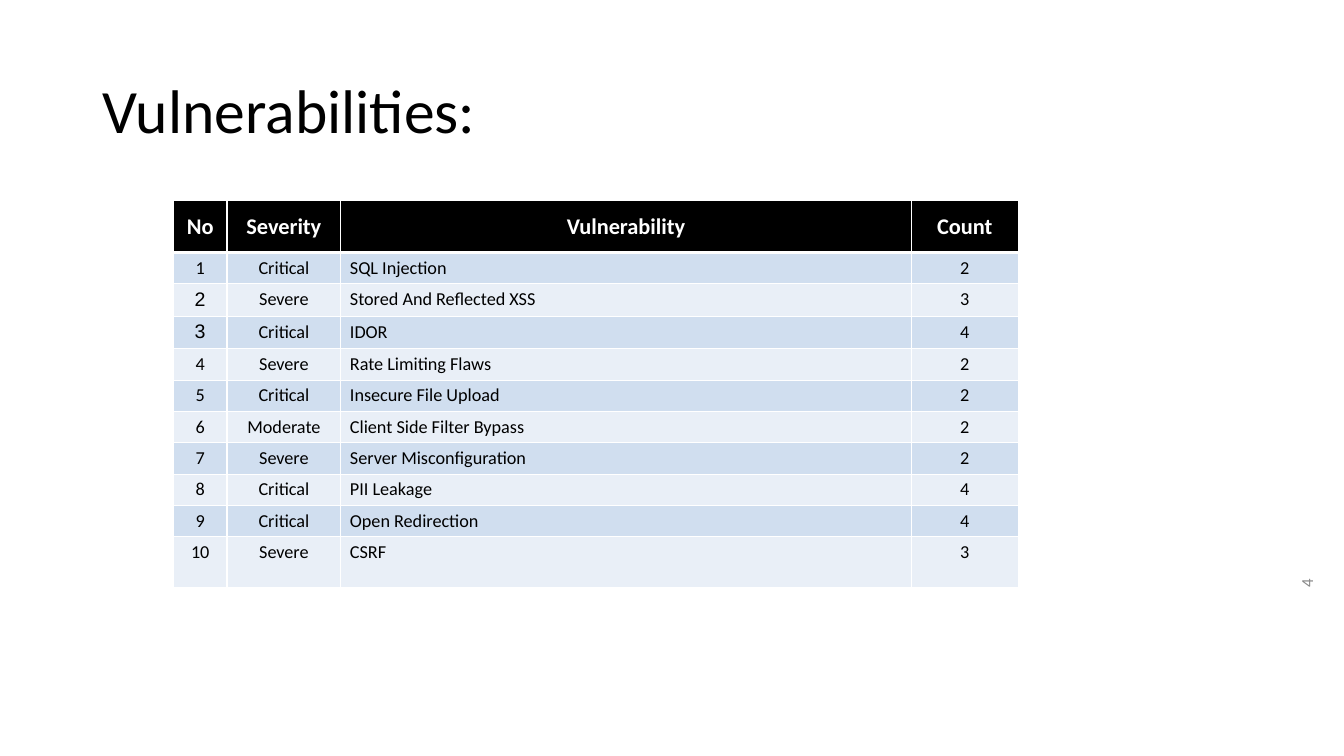
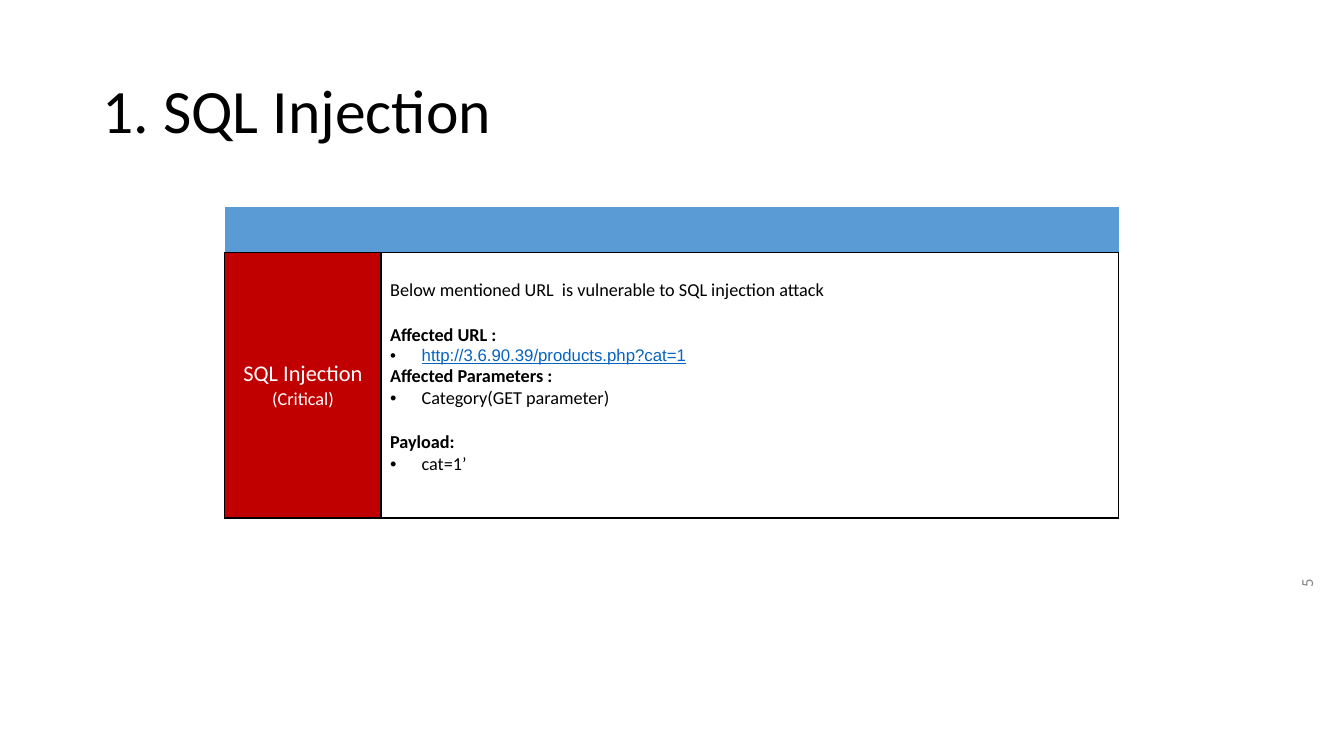
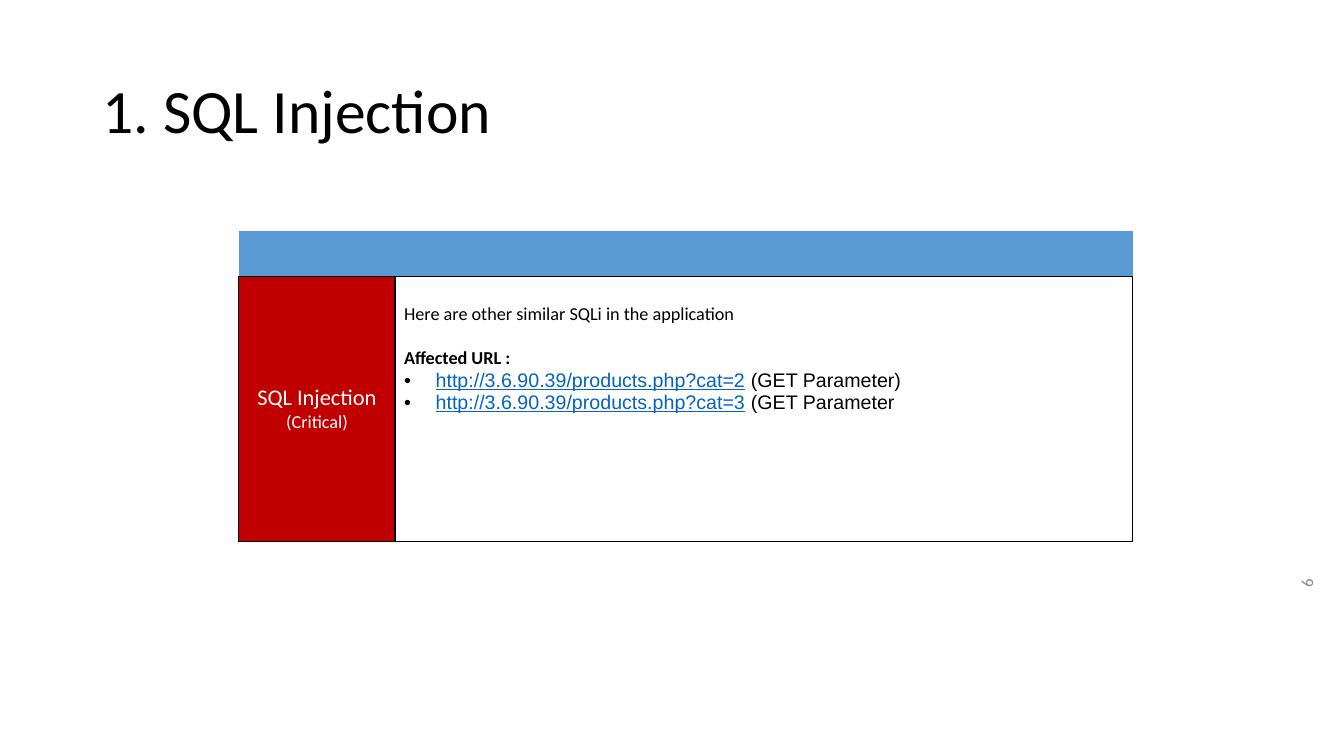
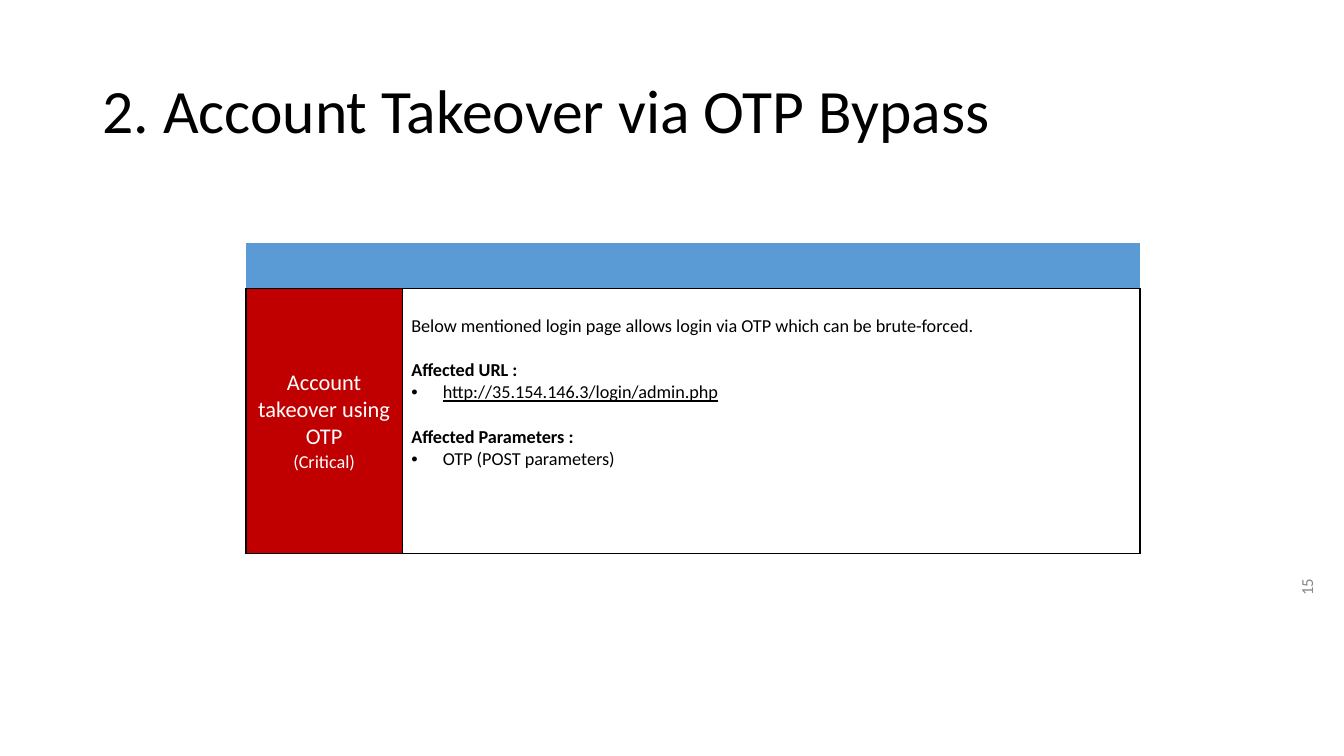
from lxml import etree
from pptx import Presentation
from pptx.dml.color import RGBColor
from pptx.enum.text import MSO_ANCHOR, PP_ALIGN
from pptx.oxml.ns import qn
from pptx.util import Pt

LEFT, CENTER, RIGHT = PP_ALIGN.LEFT, PP_ALIGN.CENTER, PP_ALIGN.RIGHT
TOP, MIDDLE = MSO_ANCHOR.TOP, MSO_ANCHOR.MIDDLE

COLORS = {
    "black": "000000", "white": "FFFFFF", "number": "888888", "link": "0563C1",
    "band_dark": "D0DEEF", "band_light": "E9EFF7", "header": "5B9BD5", "critical": "C00000",
}
BODY = {"name": "Calibri", "size": 13, "color": "black"}
FORMATS = {
    "title": {**BODY, "size": 44},
    "number": {**BODY, "size": 12, "color": "number"},
    "table_head": {**BODY, "size": 16, "color": "white", "bold": True},
    "body": BODY,
    "arial": {**BODY, "name": "Arial", "size": 14},
    "heading": {**BODY, "bold": True},
    "underlined": {**BODY, "underline": True},
    "link_small": {"name": "Arial", "size": 12, "color": "link", "underline": True},
    "link": {"name": "Arial", "size": 14, "color": "link", "underline": True},
    "finding": {**BODY, "size": 16, "color": "white"},
    "severity": {**BODY, "color": "white"},
}

SUMMARY = {
    "title": "Vulnerabilities:",
    "number": "4",
    "head": ["No", "Severity", "Vulnerability", "Count"],
    "rows": [
        ("1", "Critical", "SQL Injection", "2"),
        ("2", "Severe", "Stored And Reflected XSS", "3"),
        ("3", "Critical", "IDOR", "4"),
        ("4", "Severe", "Rate Limiting Flaws", "2"),
        ("5", "Critical", "Insecure File Upload", "2"),
        ("6", "Moderate", "Client Side Filter Bypass", "2"),
        ("7", "Severe", "Server Misconfiguration", "2"),
        ("8", "Critical", "PII Leakage", "4"),
        ("9", "Critical", "Open Redirection", "4"),
        ("10", "Severe", "CSRF", "3"),
    ],
    "arial_numbers": ("2", "3"),
}

FINDINGS = [
    {
        "title": "1. SQL Injection", "number": "5", "at": (160.6, 148),
        "name": "SQL Injection",
        "intro": "Below mentioned URL  is vulnerable to SQL injection attack",
        "sections": [
            ("Affected URL :", True, [[("http://3.6.90.39/products.php?cat=1", "link_small")]]),
            ("Affected Parameters :", False, [[("Category(GET parameter)", "body")]]),
            ("Payload:", True, [[("cat=1’", "body")]]),
        ],
    },
    {
        "title": "1. SQL Injection", "number": "6", "at": (170.6, 165),
        "name": "SQL Injection",
        "intro": "Here are other similar SQLi in the application",
        "sections": [
            ("Affected URL :", True, [
                [("http://3.6.90.39/products.php?cat=2", "link"), (" (GET Parameter)", "arial")],
                [("http://3.6.90.39/products.php?cat=3", "link"), (" (GET Parameter", "arial")],
            ]),
        ],
    },
    {
        "title": "2. Account Takeover via OTP Bypass", "number": "15", "at": (175.7, 173.5),
        "name": "Account takeover using OTP",
        "intro": "Below mentioned login page allows login via OTP which can be brute-forced.",
        "sections": [
            ("Affected URL :", True, [[("http://35.154.146.3/login/admin.php", "underlined")]]),
            ("Affected Parameters :", True, [[("OTP (POST parameters)", "body")]]),
        ],
    },
]

LINE_GAP = 15.9
BULLET_INDENT = 22.5
SIDE_INSET, CELL_INSET = 6.5, 3.2
SUMMARY_COLUMNS = [38.2, 81.4, 407.5, 76.3]
SUMMARY_HEAD, SUMMARY_ROW, SUMMARY_LAST = 37.1, 22.4, 36
FINDING_COLUMNS = [111.6, 527]
FINDING_ROWS = [32.4, 189.6]


def add_run(para, text, style):
    span = para.add_run()
    span.text = text
    for key, value in FORMATS[style].items():
        if key == "color":
            span.font.color.rgb = RGBColor.from_string(COLORS[value])
        else:
            setattr(span.font, key, Pt(value) if key == "size" else value)


def add_bullet(para):
    props = para._p.get_or_add_pPr()
    props.set("marL", str(Pt(BULLET_INDENT)))
    props.set("indent", str(-Pt(BULLET_INDENT)))
    color = etree.SubElement(props, qn("a:buClr"))
    etree.SubElement(color, qn("a:srgbClr"), val=COLORS["black"])
    etree.SubElement(props, qn("a:buFont"), typeface="Arial")
    etree.SubElement(props, qn("a:buChar"), char="•")


def write(frame, lines, align=LEFT):
    for index, line in enumerate(lines):
        para = frame.paragraphs[0] if index == 0 else frame.add_paragraph()
        para.alignment = align
        if line.get("bullet"):
            add_bullet(para)
        if line.get("gap"):
            para.space_before = Pt(LINE_GAP)
        for text, style in line["runs"]:
            add_run(para, text, style)


def plain(text, style, gap=False):
    return {"runs": [(text, style)], "gap": gap}


def add_text(page, at, line, align=LEFT):
    box = page.shapes.add_textbox(*map(Pt, at))
    box.text_frame.word_wrap = True
    box.text_frame.vertical_anchor = MIDDLE
    write(box.text_frame, [line], align)
    return box


def add_page(deck, title, number):
    page = deck.slides.add_slide(deck.slide_layouts[6])
    number_box = add_text(page, (881.3, 440, 103.7, 36), plain(number, "number"), RIGHT)
    number_box.rotation = 270
    title_box = add_text(page, (66.2, 28.8, 828, 104.4), plain(title, "title"))
    title_box.text_frame.paragraphs[0].line_spacing = 0.9
    return page


def add_table(page, at, columns, rows):
    size = sum(columns), sum(rows)
    table = page.shapes.add_table(len(rows), len(columns), *map(Pt, at + size)).table
    table.first_row = table.horz_banding = False
    for column, width in zip(table.columns, columns):
        column.width = Pt(width)
    for row, height in zip(table.rows, rows):
        row.height = Pt(height)
    return table


def style_cell(cell, fill, borders, anchor=TOP, inset=CELL_INSET):
    cell.vertical_anchor = anchor
    cell.margin_left = cell.margin_right = Pt(SIDE_INSET)
    cell.margin_top, cell.margin_bottom = Pt(inset), Pt(CELL_INSET)
    props = cell._tc.get_or_add_tcPr()
    for side in "LRTB":
        color, width = borders.get(side, (None, 0))
        line = etree.SubElement(props, qn("a:ln" + side), w=str(Pt(width)))
        if color:
            solid = etree.SubElement(line, qn("a:solidFill"))
            etree.SubElement(solid, qn("a:srgbClr"), val=COLORS[color])
        else:
            etree.SubElement(line, qn("a:noFill"))
    cell.fill.solid()
    cell.fill.fore_color.rgb = RGBColor.from_string(COLORS[fill])


def add_summary(deck, summary):
    page = add_page(deck, summary["title"], summary["number"])
    rows = summary["rows"]
    heights = [SUMMARY_HEAD] + [SUMMARY_ROW] * (len(rows) - 1) + [SUMMARY_LAST]
    table = add_table(page, (123.9, 143.3), SUMMARY_COLUMNS, heights)
    grid = dict.fromkeys("LRTB", ("white", 1))
    thick = ("white", 3)
    for column, text in enumerate(summary["head"]):
        cell = table.cell(0, column)
        style_cell(cell, "black", {**grid, "B": thick}, MIDDLE)
        write(cell.text_frame, [plain(text, "table_head")], CENTER)
    for number, row in enumerate(rows, 1):
        fill = "band_dark" if number % 2 else "band_light"
        borders = {**grid, "T": thick} if number == 1 else grid
        for column, text in enumerate(row):
            cell = table.cell(number, column)
            style_cell(cell, fill, borders)
            arial = column == 0 and text in summary["arial_numbers"]
            write(cell.text_frame, [plain(text, "arial" if arial else "body")],
                  LEFT if column == 2 else CENTER)


def add_finding(deck, finding):
    page = add_page(deck, finding["title"], finding["number"])
    table = add_table(page, finding["at"], FINDING_COLUMNS, FINDING_ROWS)
    frame = dict.fromkeys("LRTB", ("black", 1))
    for column in range(len(FINDING_COLUMNS)):
        style_cell(table.cell(0, column), "header", {"B": frame["B"]})
    label, detail = table.cell(1, 0), table.cell(1, 1)
    style_cell(label, "critical", frame, MIDDLE)
    write(label.text_frame,
          [plain(finding["name"], "finding"), plain("(Critical)", "severity")], CENTER)
    lines = [plain(finding["intro"], "body")]
    for heading, gap, bullets in finding["sections"]:
        lines.append(plain(heading, "heading", gap))
        lines += [{"runs": runs, "bullet": True} for runs in bullets]
    style_cell(detail, "white", frame, inset=CELL_INSET + LINE_GAP)
    write(detail.text_frame, lines)


def main():
    deck = Presentation()
    deck.slide_width, deck.slide_height = Pt(960), Pt(540)
    add_summary(deck, SUMMARY)
    for finding in FINDINGS:
        add_finding(deck, finding)
    deck.save("out.pptx")


if __name__ == "__main__":
    main()
